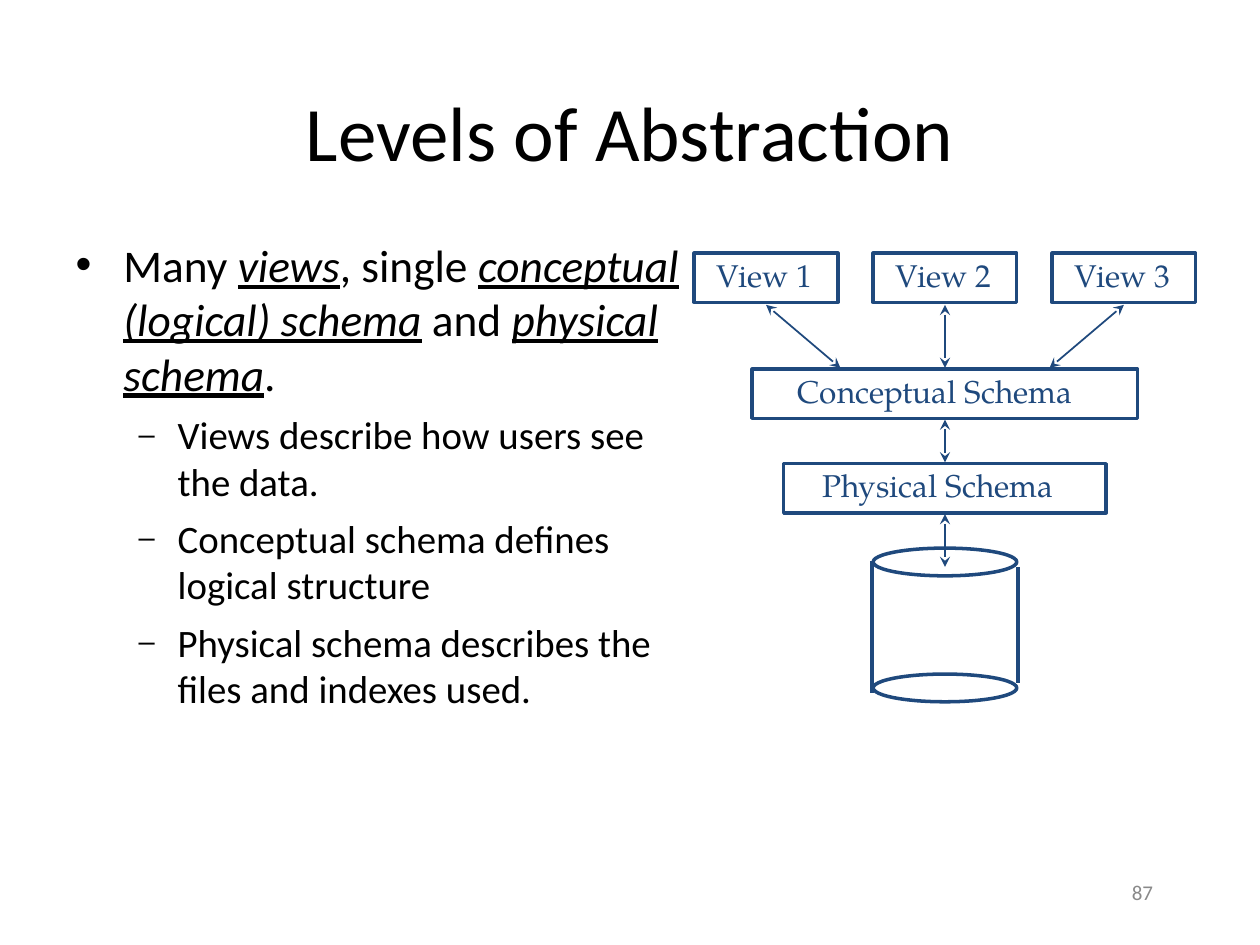
import pptx
import pptx.dml.color
import pptx.enum.shapes
import pptx.enum.text
import pptx.oxml.ns
import pptx.util
from dataclasses import dataclass
from lxml import etree

Inches, Pt = pptx.util.Inches, pptx.util.Pt
ALIGN, ANCHOR = pptx.enum.text.PP_ALIGN, pptx.enum.text.MSO_ANCHOR
SHAPE = pptx.enum.shapes.MSO_SHAPE


@dataclass(frozen=True)
class Theme:
    text: str = "000000"
    diagram: str = "1F497D"
    muted: str = "898989"
    body_font: str = "Calibri"
    diagram_font: str = "TeX Gyre Pagella"
    title_size: float = 44
    lead_size: float = 25.9
    detail_size: float = 22.2
    label_size: float = 18
    number_size: float = 12
    outline: float = 2
    arrow: float = 1


THEME = Theme()
TITLE = "Levels of Abstraction"
LEAD = [  # (words, emphasised)
    ("Many ", False), ("views", True), (", single ", False),
    ("conceptual (logical) schema", True), (" and ", False),
    ("physical schema", True), (".", False),
]
DETAILS = [
    "Views describe how users see the data.",
    "Conceptual schema defines logical structure",
    "Physical schema describes the files and indexes used.",
]
PAGE_NUMBER = "87"

# Diagram, in inches: everything is centred on one axis
AXIS = 7.5
VIEWS = ["View 1", "View 2", "View 3"]
VIEW_TOP, VIEW_WIDTH, VIEW_PITCH, VIEW_INDENT = 2.01, 1.14, 1.42, 0.18
SCHEMAS = [  # (label, top, width, text indent)
    ("Conceptual Schema", 2.93, 3.06, 0.36),
    ("Physical Schema", 3.68, 2.56, 0.31),
]
BOX_HEIGHT = 0.39
ARROW_SPANS = [(2.42, 2.92), (3.33, 3.67), (4.08, 4.5)]
VIEW_ARROW_REACH = 0.83
DISK_TOPS, DISK_WIDTH, DISK_HEIGHT = (4.35, 5.35), 1.14, 0.22
DISK_SIDES = [(-0.58, 4.45, 5.5), (0.58, 4.5, 5.42)]


def rgb(color):
    return pptx.dml.color.RGBColor.from_string(color)


def format_runs(paragraph, size, color=THEME.text, font=THEME.body_font):
    for run in paragraph.runs:
        run.font.size, run.font.name = Pt(size), font
        run.font.color.rgb = rgb(color)


def place(shape, left, top, width, height):
    shape.left, shape.top = Inches(left), Inches(top)
    shape.width, shape.height = Inches(width), Inches(height)


def set_bullet(paragraph, character, indent, hanging, percent=100):
    properties = paragraph._p.get_or_add_pPr()
    properties.set("marL", str(Inches(indent)))
    properties.set("indent", str(-Inches(hanging)))
    for tag, name, value in [("a:buSzPct", "val", str(percent * 1000)),
                             ("a:buFont", "typeface", "Arial"),
                             ("a:buChar", "char", character)]:
        etree.SubElement(properties, pptx.oxml.ns.qn(tag)).set(name, value)


def add_outline(slide, kind, top, width, height, center=AXIS):
    shape = slide.shapes.add_shape(kind, Inches(center - width / 2), Inches(top),
                                   Inches(width), Inches(height))
    shape.shadow.inherit = False
    shape.fill.background()
    shape.line.color.rgb = rgb(THEME.diagram)
    shape.line.width = Pt(THEME.outline)
    return shape


def add_box(slide, label, top, width, indent, center=AXIS):
    frame = add_outline(slide, SHAPE.RECTANGLE, top, width, BOX_HEIGHT, center).text_frame
    frame.margin_left, frame.margin_right = Inches(indent), 0
    frame.margin_top, frame.margin_bottom = Inches(0.02), 0
    frame.vertical_anchor = ANCHOR.TOP
    frame.text = label
    frame.paragraphs[0].alignment = ALIGN.LEFT
    format_runs(frame.paragraphs[0], THEME.label_size, THEME.diagram, THEME.diagram_font)


def add_line(slide, start, end, width, arrows=False):
    line = slide.shapes.add_connector(pptx.enum.shapes.MSO_CONNECTOR.STRAIGHT,
                                      *map(Inches, start + end))
    line.line.color.rgb = rgb(THEME.diagram)
    line.line.width = Pt(width)
    if arrows:
        outline = line.line._get_or_add_ln()
        for tag in ("a:headEnd", "a:tailEnd"):
            etree.SubElement(outline, pptx.oxml.ns.qn(tag)).set("type", "stealth")
    etree.SubElement(line._element.spPr, pptx.oxml.ns.qn("a:effectLst"))


def add_texts(slide):
    title, body = slide.placeholders
    place(title, 0.75, 0.58, 8.5, 0.92)
    title.text_frame.text = TITLE
    title.text_frame.vertical_anchor = ANCHOR.MIDDLE
    title.text_frame.auto_size = pptx.enum.text.MSO_AUTO_SIZE.NONE
    format_runs(title.text_frame.paragraphs[0], THEME.title_size)

    place(body, 0.5, 1.83, 5.08, 4.46)
    frame = body.text_frame
    frame.auto_size = pptx.enum.text.MSO_AUTO_SIZE.NONE
    lead = frame.paragraphs[0]
    set_bullet(lead, "•", 0.38, 0.38)
    lead.space_before = Pt(0)
    for words, emphasised in LEAD:
        run = lead.add_run()
        run.text = words
        run.font.italic = run.font.underline = emphasised
    format_runs(lead, THEME.lead_size)
    for detail in DETAILS:
        paragraph = frame.add_paragraph()
        paragraph.text = detail
        paragraph.level = 1
        set_bullet(paragraph, "–", 0.81, 0.31, 75)
        paragraph.space_before = Pt(6)
        format_runs(paragraph, THEME.detail_size)

    number = slide.shapes.add_textbox(*map(Inches, (7.17, 6.83, 2.08, 0.5))).text_frame
    number.word_wrap = True
    number.vertical_anchor = ANCHOR.MIDDLE
    number.text = PAGE_NUMBER
    number.paragraphs[0].alignment = ALIGN.RIGHT
    format_runs(number.paragraphs[0], THEME.number_size, THEME.muted)


def add_diagram(slide):
    for top in DISK_TOPS:
        add_outline(slide, SHAPE.OVAL, top, DISK_WIDTH, DISK_HEIGHT)
    for offset, top, bottom in DISK_SIDES:
        add_line(slide, (AXIS + offset, top), (AXIS + offset, bottom), THEME.outline)

    for label, top, width, indent in SCHEMAS:
        add_box(slide, label, top, width, indent)

    (view_start, view_end), *schema_spans = ARROW_SPANS
    for column, label in enumerate(VIEWS, start=-1):
        center = AXIS + column * VIEW_PITCH
        add_box(slide, label, VIEW_TOP, VIEW_WIDTH, VIEW_INDENT, center)
        add_line(slide, (center, view_start),
                 (AXIS + column * VIEW_ARROW_REACH, view_end), THEME.arrow, arrows=True)
    for start, end in schema_spans:
        add_line(slide, (AXIS, start), (AXIS, end), THEME.arrow, arrows=True)


def main():
    presentation = pptx.Presentation()
    presentation.slide_width, presentation.slide_height = Inches(10), Inches(7.5)
    slide = presentation.slides.add_slide(presentation.slide_layouts[1])
    add_texts(slide)
    add_diagram(slide)
    presentation.save("out.pptx")


if __name__ == "__main__":
    main()
